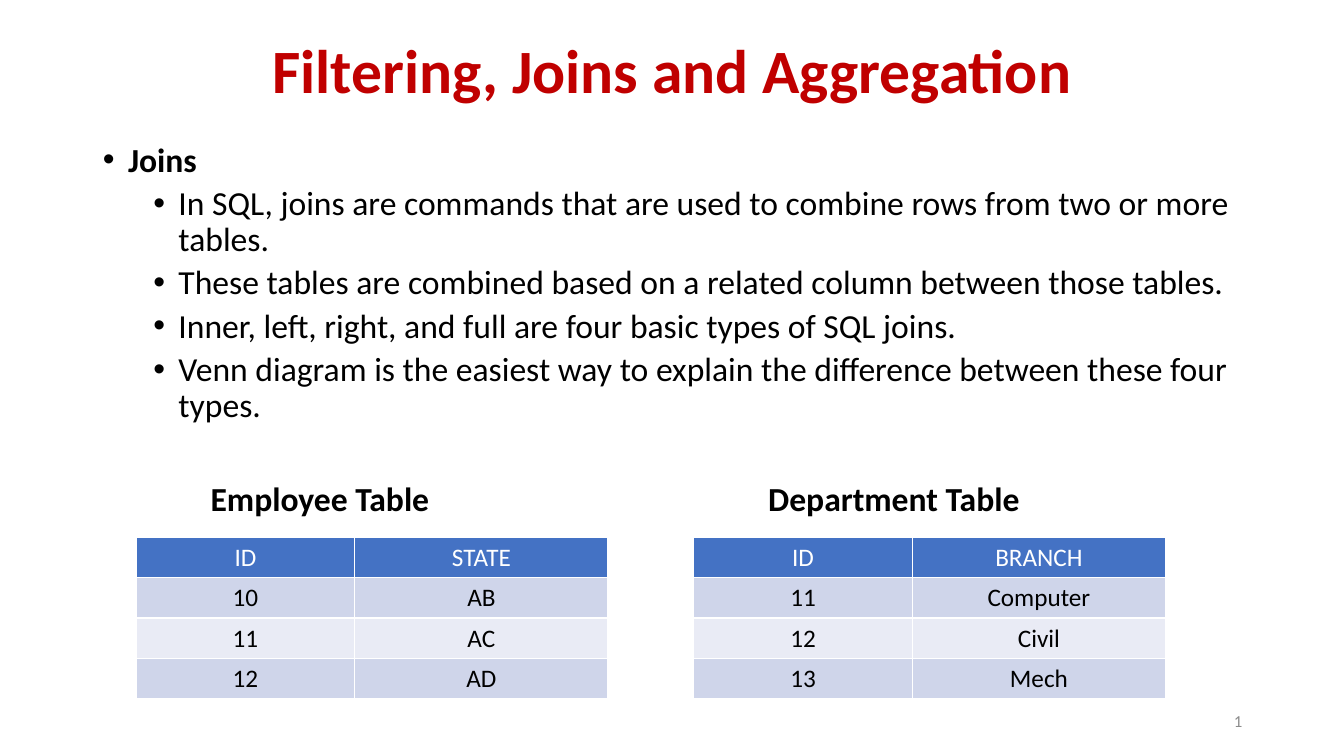
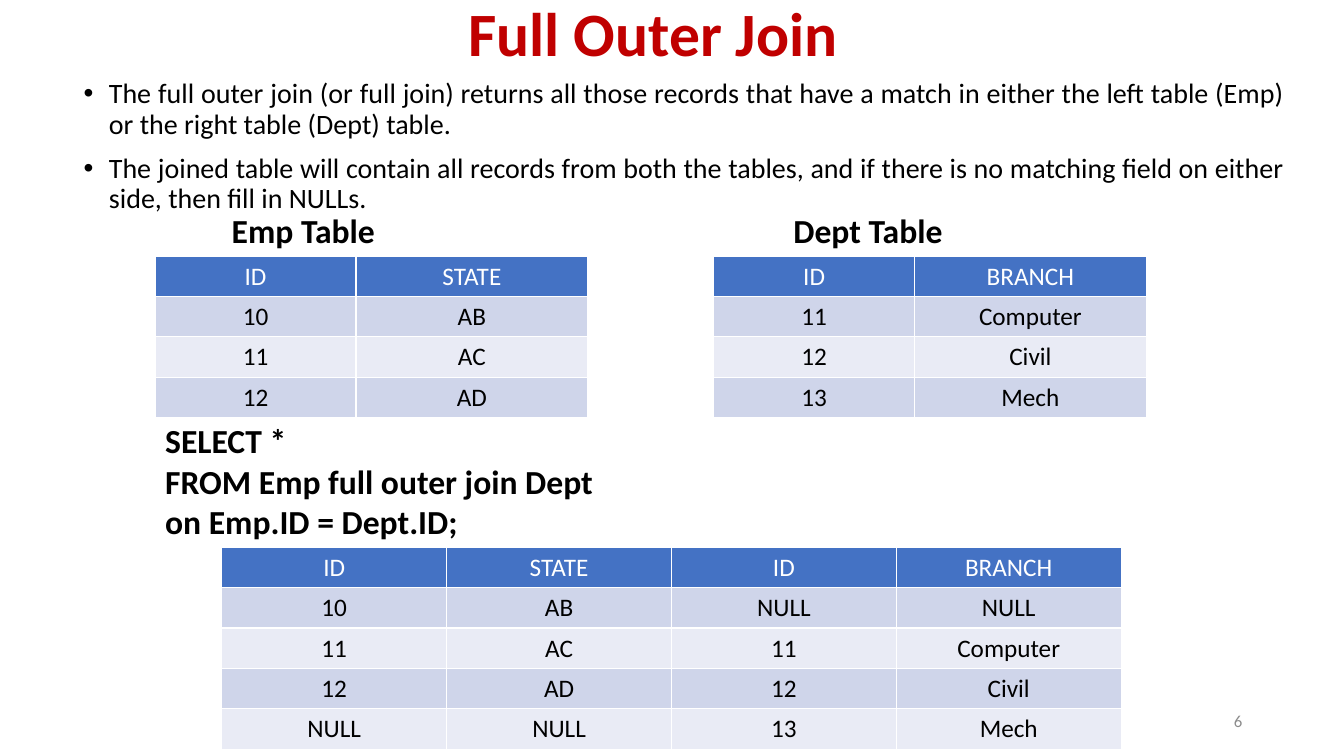
import pptx
import pptx.dml.color
import pptx.enum.text
import pptx.oxml
import pptx.oxml.ns
import pptx.util

Inches = pptx.util.Inches
Pt = pptx.util.Pt
RGBColor = pptx.dml.color.RGBColor
ALIGN = pptx.enum.text.PP_ALIGN
ANCHOR = pptx.enum.text.MSO_ANCHOR

# Shared look
FONT = "Calibri"
TITLE_RED = RGBColor(0xC0, 0x00, 0x00)
BLACK = RGBColor(0x00, 0x00, 0x00)
WHITE = RGBColor(0xFF, 0xFF, 0xFF)
PAGE_GREY = RGBColor(0x8C, 0x8C, 0x8C)
HEADER_BLUE = RGBColor(0x44, 0x72, 0xC4)
BAND_DARK = RGBColor(0xCF, 0xD5, 0xEA)
BAND_LIGHT = RGBColor(0xE9, 0xEB, 0xF5)
ROW_HEIGHT = 0.4

# Table contents
EMPLOYEES = [("ID", "STATE"), ("10", "AB"), ("11", "AC"), ("12", "AD")]
DEPARTMENTS = [("ID", "BRANCH"), ("11", "Computer"), ("12", "Civil"), ("13", "Mech")]
FULL_JOIN = [
    ("ID", "STATE", "ID", "BRANCH"),
    ("10", "AB", "NULL", "NULL"),
    ("11", "AC", "11", "Computer"),
    ("12", "AD", "12", "Civil"),
    ("NULL", "NULL", "13", "Mech"),
]


def format_runs(paragraph, size, color=BLACK, bold=False):
    for run in paragraph.runs:
        run.font.name = FONT
        run.font.size = Pt(size)
        run.font.bold = bold
        run.font.color.rgb = color


def place(shape, box):
    shape.left, shape.top, shape.width, shape.height = map(Inches, box)


def add_text(slide, box, lines, size, color=BLACK, bold=False,
             align=ALIGN.LEFT, anchor=ANCHOR.TOP):
    text_frame = slide.shapes.add_textbox(*map(Inches, box)).text_frame
    text_frame.word_wrap = True
    text_frame.vertical_anchor = anchor
    text_frame.text = "\n".join(lines)
    for paragraph in text_frame.paragraphs:
        paragraph.alignment = align
        format_runs(paragraph, size, color, bold)


def set_title(slide, box, text):
    title = slide.shapes.title
    place(title, box)
    title.text_frame.text = text
    title.text_frame.auto_size = pptx.enum.text.MSO_AUTO_SIZE.NONE
    title.text_frame.vertical_anchor = ANCHOR.MIDDLE
    paragraph = title.text_frame.paragraphs[0]
    paragraph.alignment = ALIGN.CENTER
    paragraph.line_spacing = 0.9
    format_runs(paragraph, 44, TITLE_RED, True)


def add_bullet(paragraph, level):
    properties = paragraph._p.get_or_add_pPr()
    properties.set("marL", str(Inches(0.25 + 0.5 * level)))
    properties.set("indent", str(Inches(-0.25)))
    namespace = pptx.oxml.ns.nsdecls("a")
    properties.append(pptx.oxml.parse_xml(f'<a:buFont {namespace} typeface="Arial"/>'))
    properties.append(pptx.oxml.parse_xml(f'<a:buChar {namespace} char="•"/>'))


def set_bullets(slide, box, items, size, align=ALIGN.LEFT):
    """Fill the body with (level, text, bold) items."""
    body = slide.placeholders[1]
    place(body, box)
    text_frame = body.text_frame
    text_frame.text = "\n".join(text for _, text, _ in items)
    text_frame.auto_size = pptx.enum.text.MSO_AUTO_SIZE.NONE
    for index, (level, _, bold) in enumerate(items):
        paragraph = text_frame.paragraphs[index]
        paragraph.level = level
        paragraph.alignment = align
        paragraph.line_spacing = 0.9
        paragraph.space_before = Pt(0 if index == 0 else 5 if level else 10)
        add_bullet(paragraph, level)
        format_runs(paragraph, size, BLACK, bold)


def add_data_table(slide, left, top, column_widths, rows):
    table = slide.shapes.add_table(
        len(rows), len(column_widths), Inches(left), Inches(top),
        Inches(sum(column_widths)), Inches(ROW_HEIGHT * len(rows))).table
    for column, width in zip(table.columns, column_widths):
        column.width = Inches(width)
    for row_index, values in enumerate(rows):
        is_header = row_index == 0
        band = BAND_DARK if row_index % 2 else BAND_LIGHT
        for column_index, value in enumerate(values):
            cell = table.cell(row_index, column_index)
            cell.fill.solid()
            cell.fill.fore_color.rgb = HEADER_BLUE if is_header else band
            cell.text_frame.text = value
            paragraph = cell.text_frame.paragraphs[0]
            paragraph.alignment = ALIGN.CENTER
            format_runs(paragraph, 18, WHITE if is_header else BLACK)


def add_captioned_table(slide, left, top, column_widths, rows, caption, caption_box):
    """Table with its caption; caption_box is offset from the table corner."""
    x, y, width, height = caption_box
    add_data_table(slide, left, top, column_widths, rows)
    add_text(slide, (left + x, top + y, width, height), [caption], 24, bold=True)


def add_page(presentation, title_box, title, number):
    slide = presentation.slides.add_slide(presentation.slide_layouts[1])
    set_title(slide, title_box, title)
    add_text(slide, (9.42, 6.95, 3, 0.4), [number], 12, PAGE_GREY,
             align=ALIGN.RIGHT, anchor=ANCHOR.MIDDLE)
    return slide


def build_joins_slide(presentation):
    slide = add_page(presentation, (0.92, 0, 11.5, 1.45),
                     "Filtering, Joins and Aggregation", "1")
    set_bullets(slide, (0.92, 1.37, 11.5, 4.76), [
        (0, "Joins", True),
        (1, "In SQL, joins are commands that are used to combine rows "
            "from two or more tables.", False),
        (1, "These tables are combined based on a related column "
            "between those tables.", False),
        (1, "Inner, left, right, and full are four basic types of SQL joins.", False),
        (1, "Venn diagram is the easiest way to explain the difference "
            "between these four types.", False),
    ], 24)
    widths = (2.17, 2.51)
    add_captioned_table(slide, 1.35, 5.33, widths, EMPLOYEES,
                        "Employee Table", (0.64, -0.64, 2.54, 0.5))
    add_captioned_table(slide, 6.88, 5.33, widths, DEPARTMENTS,
                        "Department Table", (0.64, -0.64, 3.08, 0.5))


def build_full_join_slide(presentation):
    slide = add_page(presentation, (0.73, -0.36, 11.5, 1.45), "Full Outer Join", "6")
    set_bullets(slide, (0.73, 0.74, 12.11, 4.76), [
        (0, "The full outer join (or full join) returns all those records that have "
            "a match in either the left table (Emp) or the right table (Dept) table. ",
         False),
        (0, "The joined table will contain all records from both the tables, and if "
            "there is no matching field on either side, then fill in NULLs.", False),
    ], 20, ALIGN.JUSTIFY)
    widths = (1.99, 2.3)
    add_captioned_table(slide, 1.54, 2.54, widths, EMPLOYEES,
                        "Emp Table", (0.66, -0.51, 2.33, 0.5))
    add_captioned_table(slide, 7.08, 2.54, widths, DEPARTMENTS,
                        "Dept Table", (0.69, -0.51, 2.82, 0.5))
    # Query and its result
    add_text(slide, (1.54, 4.12, 6.67, 1.31),
             ["SELECT *", "FROM Emp full outer join Dept", "on Emp.ID = Dept.ID;"],
             24, bold=True)
    add_data_table(slide, 2.2, 5.43, (2.23,) * 4, FULL_JOIN)


def main():
    presentation = pptx.Presentation()
    presentation.slide_width = Inches(13.33)
    presentation.slide_height = Inches(7.5)
    build_joins_slide(presentation)
    build_full_join_slide(presentation)
    presentation.save("out.pptx")


if __name__ == "__main__":
    main()
